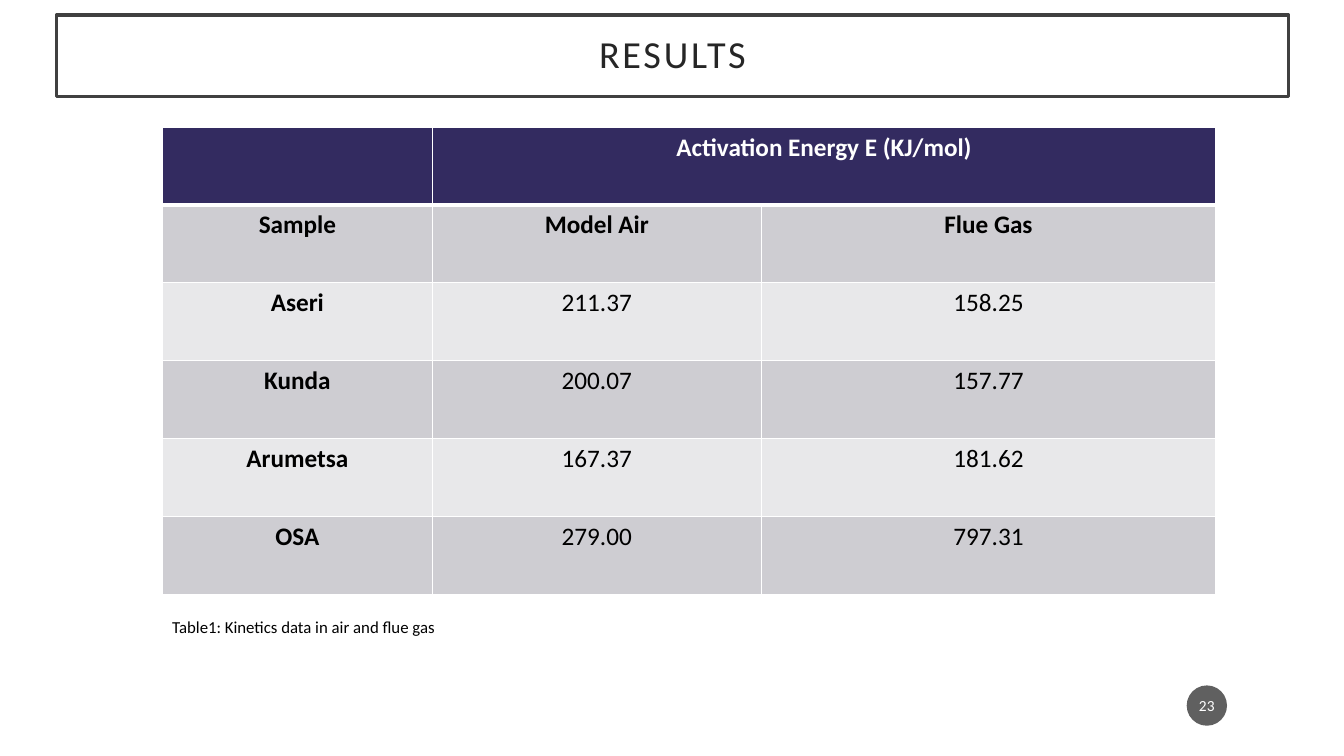
from lxml.etree import SubElement
from pptx import Presentation
from pptx.dml.color import RGBColor
from pptx.enum.shapes import MSO_SHAPE as Shape
from pptx.enum.text import MSO_ANCHOR as Anchor, PP_ALIGN as Align
from pptx.oxml.ns import qn
from pptx.util import Inches, Pt

WHITE = RGBColor(0xFF, 0xFF, 0xFF)
BLACK = RGBColor(0x00, 0x00, 0x00)
TITLE_TEXT = RGBColor(0x26, 0x26, 0x26)
TITLE_FRAME = RGBColor(0x40, 0x40, 0x40)
BADGE = RGBColor(0x1D, 0x1D, 0x1D)
HEADER = RGBColor(0x33, 0x2B, 0x60)
DARK_BAND = RGBColor(0xCE, 0xCD, 0xD2)
LIGHT_BAND = RGBColor(0xE8, 0xE8, 0xEA)

COLUMN_WIDTHS = [2.68, 3.26, 4.51]
ROWS = [
    ["", "Activation Energy E (KJ/mol)", ""],
    ["Sample", "Model Air", "Flue Gas"],
    ["Aseri", "211.37", "158.25"],
    ["Kunda", "200.07", "157.77"],
    ["Arumetsa", "167.37", "181.62"],
    ["OSA", "279.00", "797.31"],
]


def write(paragraph, text, size, color, bold=False, align=Align.CENTER):
    """Put one styled run of text in a paragraph and return the run."""
    run = paragraph.add_run()
    run.text = text
    paragraph.alignment = align
    font = paragraph.font
    font.name, font.size, font.bold = "Calibri", Pt(size), bold
    font.color.rgb = color
    return run


def add_panel(slide, kind, box, fill, margins):
    """Add a filled shape whose text is centred vertically."""
    shape = slide.shapes.add_shape(kind, *map(Inches, box))
    shape.shadow.inherit = False
    shape.fill.solid()
    shape.fill.fore_color.rgb = fill
    frame = shape.text_frame
    frame.word_wrap = True
    frame.vertical_anchor = Anchor.MIDDLE
    frame.margin_left = frame.margin_right = Inches(margins[0])
    frame.margin_top = frame.margin_bottom = Inches(margins[1])
    return shape


def add_title(slide, box, text):
    """Add the framed slide title with spaced letters."""
    shape = add_panel(slide, Shape.RECTANGLE, box, WHITE, (0.2, 0.2))
    shape.line.color.rgb = TITLE_FRAME
    shape.line.width = Pt(2.5)
    paragraph = shape.text_frame.paragraphs[0]
    paragraph.line_spacing = 0.9
    run = write(paragraph, text, 27.3, TITLE_TEXT)
    run._r.get_or_add_rPr().set("spc", "200")


def add_page_number(slide, box, number):
    """Add the translucent round page number."""
    shape = add_panel(slide, Shape.OVAL, box, BADGE, (0.02, 0.05))
    shape.line.fill.background()
    color = shape._element.spPr.find(qn("a:solidFill"))[0]
    SubElement(color, qn("a:alpha"), val="70000")
    write(shape.text_frame.paragraphs[0], number, 11, WHITE)


def set_borders(cell, widths):
    """Draw white borders on a cell from a side-to-points mapping."""
    properties = cell._tc.get_or_add_tcPr()
    for side, width in widths.items():
        line = SubElement(properties, qn(f"a:ln{side}"), w=str(Pt(width)))
        fill = SubElement(line, qn("a:solidFill"))
        SubElement(fill, qn("a:srgbClr"), val=str(WHITE))


def add_results_table(slide, box):
    """Add the banded table of activation energies."""
    frame = slide.shapes.add_table(len(ROWS), len(COLUMN_WIDTHS), *map(Inches, box))
    table = frame.table
    for column, width in zip(table.columns, COLUMN_WIDTHS):
        column.width = Inches(width)
    for i, values in enumerate(ROWS):
        table.rows[i].height = Inches(box[3] / len(ROWS))
        fill = HEADER if i == 0 else DARK_BAND if i % 2 else LIGHT_BAND
        for j, value in enumerate(values):
            cell = table.cell(i, j)
            set_borders(cell, {"L": 1, "R": 1, "T": 3 if i == 1 else 1, "B": 3 if i == 0 else 1})
            cell.fill.solid()
            cell.fill.fore_color.rgb = fill
            if value:
                write(cell.text_frame.paragraphs[0], value, 18,
                      BLACK if i else WHITE, bold=i < 2 or j == 0)
    table.cell(0, 1).merge(table.cell(0, 2))


def add_caption(slide, box, text):
    """Add the caption below the table."""
    frame = slide.shapes.add_textbox(*map(Inches, box)).text_frame
    frame.word_wrap = True
    write(frame.paragraphs[0], text, 12, BLACK, align=Align.LEFT)


def main():
    """Build and save the results slide."""
    presentation = Presentation()
    presentation.slide_width = Inches(13.33)
    presentation.slide_height = Inches(7.5)
    slide = presentation.slides.add_slide(presentation.slide_layouts[6])
    add_page_number(slide, (11.77, 6.8, 0.4, 0.4), "23")
    add_title(slide, (0.56, 0.15, 12.22, 0.81), "RESULTS")
    add_results_table(slide, (1.61, 1.26, sum(COLUMN_WIDTHS), 4.64))
    add_caption(slide, (1.61, 6.07, 3.37, 0.3), "Table1: Kinetics data in air and flue gas")
    presentation.save("out.pptx")


if __name__ == "__main__":
    main()
